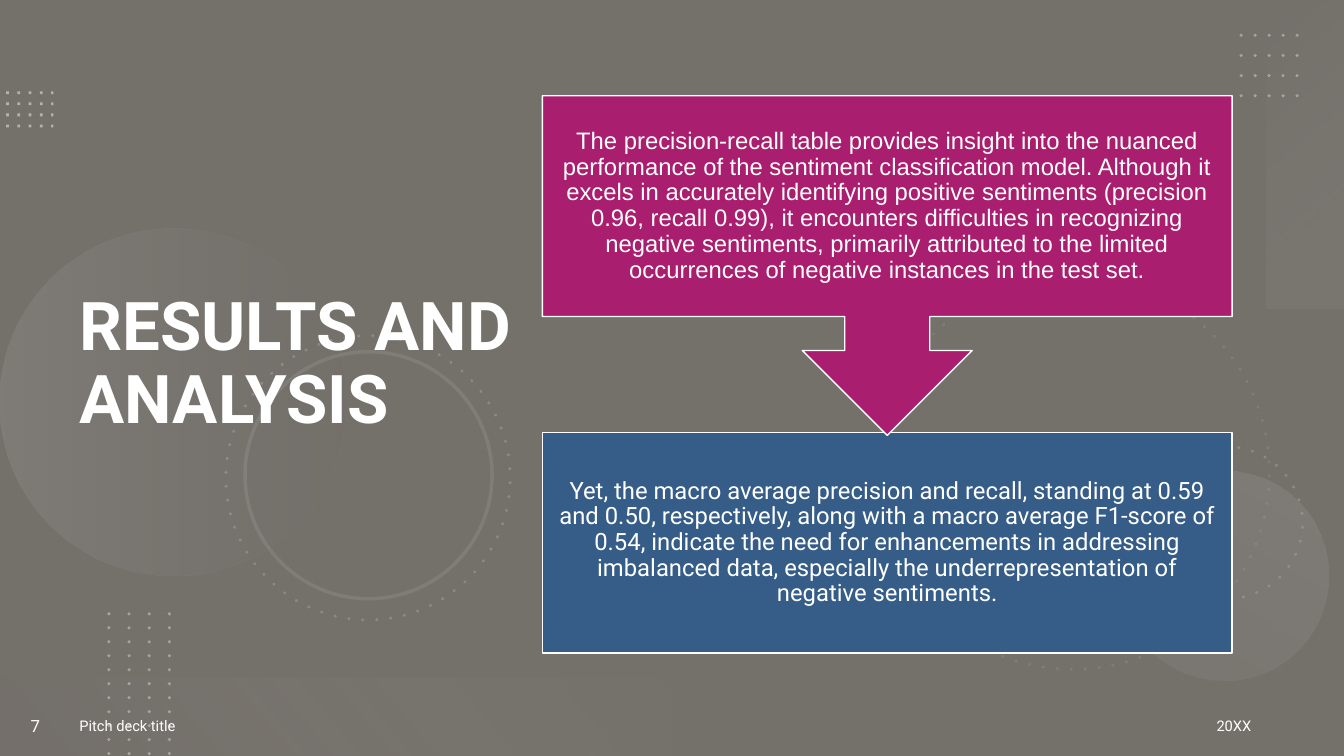
from lxml.etree import SubElement
from pptx import Presentation
from pptx.dml.color import RGBColor
from pptx.enum.shapes import MSO_CONNECTOR, MSO_SHAPE as SHAPE
from pptx.enum.text import MSO_ANCHOR as ANCHOR, MSO_AUTO_SIZE as FIT, PP_ALIGN as ALIGN
from pptx.oxml.ns import qn
from pptx.util import Pt

PX = 9144
COLORS = {
    "cream": "F8F0E3", "black": "000000", "white": "FFFFFF",
    "ivory": "FAF5ED", "mist": "EFEFEF", "pale": "F5F4F4",
    "silver": "AEABAB", "stone": "757070",
    "blue": "355D88", "magenta": "A91E6F",
}


class Slide:
    font = "Roboto"

    def __init__(self, deck, layout):
        self.slide = deck.slides.add_slide(layout)
        self.shapes = self.slide.shapes
        background = self.slide.background.fill
        background.solid()
        background.fore_color.rgb = self.rgb("cream")

    def rgb(self, color):
        return RGBColor.from_string(COLORS[color])

    def fade(self, element, opacity):
        for color in element.iter(qn("a:srgbClr")):
            SubElement(color, qn("a:alpha"), val=str(opacity * 1000))

    def stroke(self, line, color, width, opacity=100, dotted=False, cap="flat"):
        line.width = Pt(width)
        line.fill.solid()
        line.fill.fore_color.rgb = self.rgb(color)
        outline = line.fill._xPr
        outline.set("cap", cap)
        if opacity < 100:
            self.fade(outline, opacity)
        if dotted:
            SubElement(outline, qn("a:prstDash"), val="dot")

    def shape(self, kind, box, rotation=0):
        shape = self.shapes.add_shape(kind, *(n * PX for n in box))
        shape.shadow.inherit = False
        shape.rotation = rotation
        shape.fill.background()
        shape.line.fill.background()
        return shape

    def solid(self, kind, box, color, opacity=100):
        shape = self.shape(kind, box)
        shape.fill.solid()
        shape.fill.fore_color.rgb = self.rgb(color)
        if opacity < 100:
            self.fade(shape.fill._xPr, opacity)
        return shape

    def gradient(self, kind, box, rotation, angle, stops):
        fill = self.shape(kind, box, rotation).fill
        fill.gradient()
        fill.gradient_angle = 360 - angle
        for stop, (position, color, opacity) in zip(fill.gradient_stops, stops):
            stop.position = position
            stop.color.rgb = self.rgb(color)
            self.fade(stop._gs, opacity)

    def ring(self, left, top, size, opacity, rotation=75, dotted=True):
        ring = self.shape(SHAPE.OVAL, (left, top, size, size), rotation)
        self.stroke(ring.line, "mist", 2.5, opacity, dotted, "rnd" if dotted else "flat")

    def dots(self, start, end, color, width, opacity, cap="flat"):
        row = self.shapes.add_connector(
            MSO_CONNECTOR.STRAIGHT, *(n * PX for n in (*start, *end)))
        SubElement(row._element.spPr, qn("a:effectLst"))
        self.stroke(row.line, color, width, opacity, True, cap)

    def typeset(self, shape, text, size, align, font=None, bold=False, spacing=None, inset=(10, 5)):
        frame = shape.text_frame
        frame.word_wrap = True
        frame.auto_size = FIT.NONE
        frame.vertical_anchor = ANCHOR.MIDDLE
        frame.margin_left = frame.margin_right = inset[0] * PX
        frame.margin_top = frame.margin_bottom = inset[1] * PX
        frame.text = text
        paragraph = frame.paragraphs[0]
        paragraph.alignment = align
        paragraph.line_spacing = spacing
        paragraph.font.name = font or self.font
        paragraph.font.size = Pt(size)
        paragraph.font.bold = bold
        paragraph.font.color.rgb = self.rgb("white")

    def title(self, box, text):
        title = self.shapes.title
        title.left, title.top, title.width, title.height = (n * PX for n in box)
        self.shapes._spTree.append(title._element)
        self.typeset(title, text, 48, ALIGN.LEFT, bold=True, spacing=0.9)

    def label(self, left, width, text, size, align):
        label = self.shapes.add_textbox(left * PX, 690 * PX, width * PX, 60 * PX)
        self.typeset(label, text, size, align)

    def finding(self, kind, box, color, text, font=None):
        finding = self.solid(kind, box, color)
        self.stroke(finding.line, "white", 1)
        self.typeset(finding, text, 17, ALIGN.CENTER, font, spacing=0.9, inset=(13, 13))
        return finding


def main():
    deck = Presentation()
    deck.slide_width, deck.slide_height = 1333 * PX, 750 * PX
    results = Slide(deck, deck.slide_layouts[5])

    results.solid(SHAPE.RECTANGLE, (0, 0, 1333, 750), "black", 53)

    for y in range(92, 126, 11):
        results.dots((6, y), (53, y), "ivory", 2, 50)

    results.ring(869, 274, 390, 10)
    results.ring(1141, 443, 151, 20, rotation=270)
    results.gradient(SHAPE.OVAL, (0, 227, 344, 344), 270, 90,
                     [(0, "silver", 20), (1, "stone", 10)])
    results.gradient(SHAPE.OVAL, (1110, 467, 208, 208), 210, 90,
                     [(0, "silver", 10), (1, "silver", 20)])
    results.ring(224, 333, 282, 20)
    results.ring(243, 349, 245, 10, dotted=False)

    results.gradient(SHAPE.RECTANGLE, (1142, 114, 306, 78), 270, 140,
                     [(0, "pale", 0), (1, "silver", 10)])
    for y in range(35, 96, 20):
        results.dots((1231, y), (1291, y), "mist", 2.5, 40, "rnd")

    results.gradient(SHAPE.RECTANGLE, (0, 672, 667, 78), 180, 140,
                     [(0.1, "stone", 10), (1, "mist", 0)])
    for x in range(108, 169, 20):
        results.dots((x, 609), (x, 750), "mist", 2.5, 40, "rnd")

    results.title((69, 54, 459, 617), "RESULTS AND ANALYSIS")
    results.label(69, 910, "Pitch deck title", 10.5, ALIGN.JUSTIFY)
    results.label(0, 70, "7", 12, ALIGN.CENTER)
    results.label(1001, 250, "20XX", 10.5, ALIGN.RIGHT)

    results.finding(
        SHAPE.RECTANGLE, (538, 429, 684, 219), "blue",
        "Yet, the macro average precision and recall, standing at 0.59 and 0.50, "
        "respectively, along with a macro average F1-score of 0.54, indicate the need "
        "for enhancements in addressing imbalanced data, especially the "
        "underrepresentation of negative sentiments.")
    strengths = results.finding(
        SHAPE.DOWN_ARROW_CALLOUT, (538, 95, 684, 337), "magenta",
        "The precision-recall table provides insight into the nuanced performance of "
        "the sentiment classification model. Although it excels in accurately "
        "identifying positive sentiments (precision 0.96, recall 0.99), it encounters "
        "difficulties in recognizing negative sentiments, primarily attributed to the "
        "limited occurrences of negative instances in the test set.",
        "Arial")
    for index, ratio in enumerate((0.25, 0.25, 0.25, 0.65)):
        strengths.adjustments[index] = ratio

    deck.save("out.pptx")


if __name__ == "__main__":
    main()
